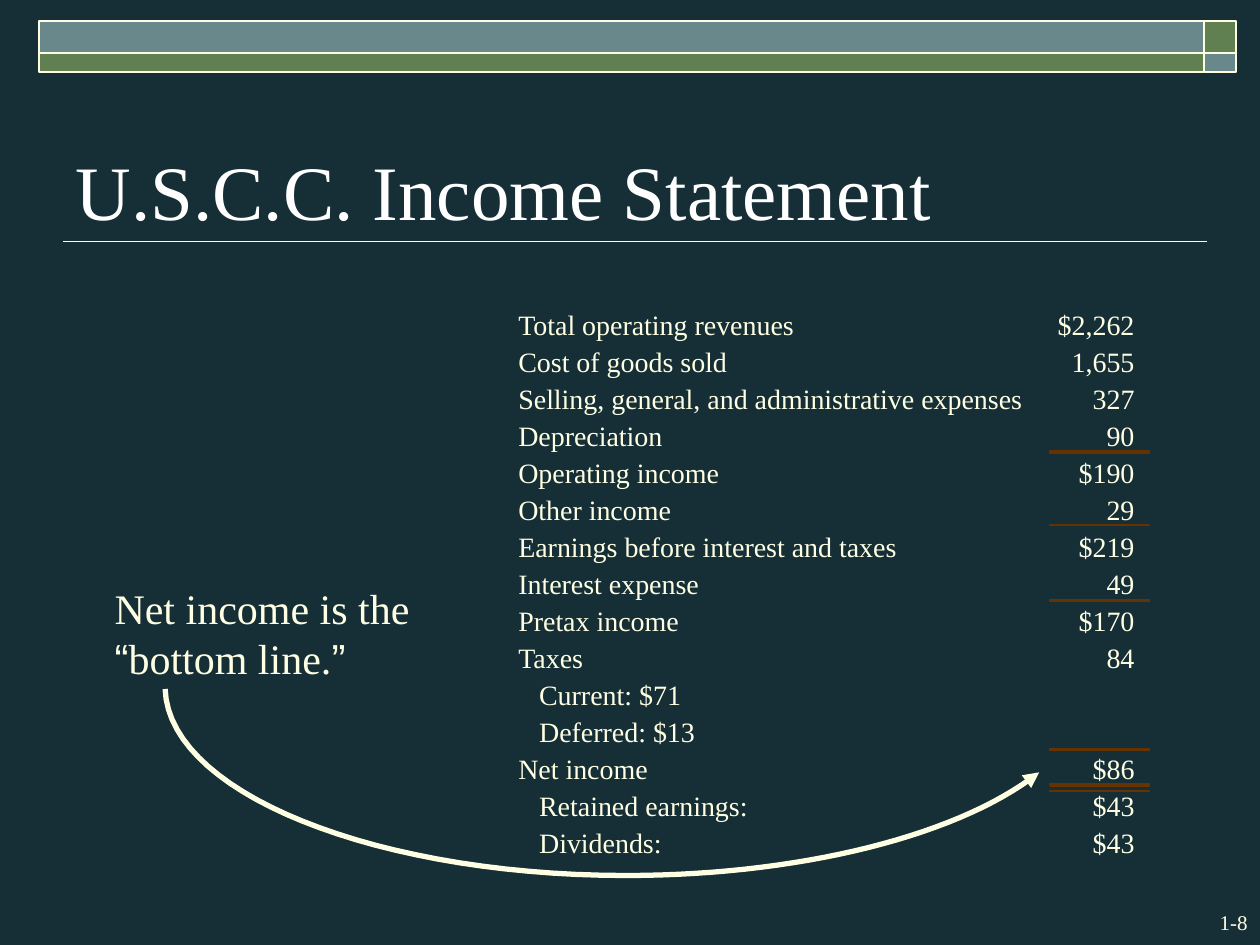
from lxml.etree import SubElement
from pptx import Presentation
from pptx.dml.color import RGBColor
from pptx.enum.shapes import MSO_CONNECTOR, MSO_SHAPE
from pptx.enum.text import MSO_ANCHOR, MSO_AUTO_SIZE, PP_ALIGN
from pptx.oxml.ns import qn
from pptx.util import Cm, Pt

COLORS = {"back": "162E36", "cream": "FFFFE3", "white": "FFFFFF", "green": "618052",
          "teal": "69888B", "black": "000000", "brown": "663300"}
RGB = {name: RGBColor.from_string(value) for name, value in COLORS.items()}
SERIF = "Times New Roman"

prs = Presentation()
prs.slide_width, prs.slide_height = Cm(25.4), Cm(19.05)
s = prs.slides.add_slide(prs.slide_layouts[5])
s.background.fill.solid()
s.background.fill.fore_color.rgb = RGB["back"]


def add_text(x, y, w, h, runs, size, align=PP_ALIGN.LEFT, margins=(0, 0)):
    tf = s.shapes.add_textbox(Cm(x), Cm(y), Cm(w), Cm(h)).text_frame
    tf.word_wrap = True
    tf.margin_left = tf.margin_right = Cm(margins[0])
    tf.margin_top = tf.margin_bottom = Cm(margins[1])
    p = tf.paragraphs[0]
    p.alignment = align
    for text, font in runs:
        r = p.add_run()
        r.text = text
        r.font.name, r.font.size = font, Pt(size)
        r.font.color.rgb = RGB["cream"]


def add_box(x, y, w, h, fill, line, width):
    sp = s.shapes.add_shape(MSO_SHAPE.RECTANGLE, Cm(x), Cm(y), Cm(w), Cm(h))
    sp.shadow.inherit = False
    sp.fill.solid()
    sp.fill.fore_color.rgb = RGB[fill]
    sp.line.color.rgb = RGB[line]
    sp.line.width = Pt(width)


# Header band
for x, y, w, h, fill in [(24.28, 0.43, 0.64, 0.64, "green"), (0.79, 0.43, 23.49, 0.64, "teal"),
                         (0.79, 1.07, 23.49, 0.38, "green"), (24.28, 1.07, 0.64, 0.38, "teal")]:
    add_box(x, y, w, h, fill, "cream", 1)

# Title
title = s.shapes.title
title.left, title.top, title.width, title.height = Cm(1.27), Cm(1.7), Cm(22.86), Cm(3.18)
tf = title.text_frame
tf.auto_size = MSO_AUTO_SIZE.NONE
tf.vertical_anchor = MSO_ANCHOR.BOTTOM
p = tf.paragraphs[0]
p.alignment = PP_ALIGN.LEFT
r = p.add_run()
r.text = "U.S.C.C. Income Statement"
r.font.name, r.font.size = SERIF, Pt(44)
r.font.color.rgb = RGB["white"]

# Income statement: label, indent, amount
ROWS = [("Total operating revenues", 0, "$2,262"), ("Cost of goods sold", 0, "1,655"),
        ("Selling, general, and administrative expenses", 0, "327"), ("Depreciation", 0, "90"),
        ("Operating income", 0, "$190"), ("Other income", 0, "29"),
        ("Earnings before interest and taxes", 0, "$219"), ("Interest expense", 0, "49"),
        ("Pretax income", 0, "$170"), ("Taxes", 0, "84"),
        ("Current: $71", 0.42, None), ("Deferred: $13", 0.42, None), ("Net income", 0, "$86"),
        ("Retained earnings:", 0.42, "$43"), ("Dividends:", 0.42, "$43")]
TOP, PITCH, ROW_H = 6.2, 0.746, 0.68
for i, (label, indent, amount) in enumerate(ROWS):
    y = TOP + i * PITCH
    add_text(10.45 + indent, y, 10.6, ROW_H, [(label, SERIF)], 16)
    if amount:
        add_text(21.17, y, 1.7, ROW_H, [(amount, SERIF)], 16, PP_ALIGN.RIGHT)

# Subtotal and total rules
for y in (9.09, 9.12, 10.57, 12.09, 15.09, 15.8, 15.93):
    add_box(21.16, y, 2.02, 0.03, "black", "brown", 0.75)

# Straight lines: title underline and net income hairline
for x1, x2, y, color, width in [(24.33, 1.27, 4.87, "cream", 1),
                                (21.16, 23.18, 15.82, "brown", 0)]:
    line = s.shapes.add_connector(MSO_CONNECTOR.STRAIGHT, Cm(x1), Cm(y), Cm(x2), Cm(y))
    line.line.color.rgb = RGB[color]
    line.line.width = Pt(width)
    SubElement(line._element.spPr, qn("a:effectLst"))

# Callout and slide number
add_text(2.06, 11.61, 6.98, 2.29,
         [("Net income is the ", SERIF), ("“", "Arial"), ("bottom line.", SERIF), ("”", "Arial")],
         24, margins=(0.25, 0.13))
add_text(23.29, 18.21, 2.11, 0.76, [("1-8", SERIF)], 12, PP_ALIGN.RIGHT, (0.25, 0.13))

# Curved arrow from the callout to net income, two cubic curves
CURVES = [((3.33, 13.89), (3.4, 15.98), (7.54, 17.65), (12.62, 17.65)),
          ((12.62, 17.65), (16.15, 17.65), (19.35, 16.84), (20.95, 15.57))]
STEPS = 30
points = []
for curve in CURVES:
    for k in range(1, STEPS + 1):
        t = k / STEPS
        weights = ((1 - t) ** 3, 3 * t * (1 - t) ** 2, 3 * t ** 2 * (1 - t), t ** 3)
        points.append(tuple(Cm(sum(w * pt[axis] for w, pt in zip(weights, curve)))
                            for axis in (0, 1)))
start_x, start_y = CURVES[0][0]
builder = s.shapes.build_freeform(Cm(start_x), Cm(start_y))
builder.add_line_segments(points, close=False)
arrow = builder.convert_to_shape()
arrow.shadow.inherit = False
arrow.fill.background()
arrow.line.color.rgb = RGB["cream"]
arrow.line.width = Pt(3)
SubElement(arrow.line._get_or_add_ln(), qn("a:tailEnd"), type="triangle")

prs.save("out.pptx")
